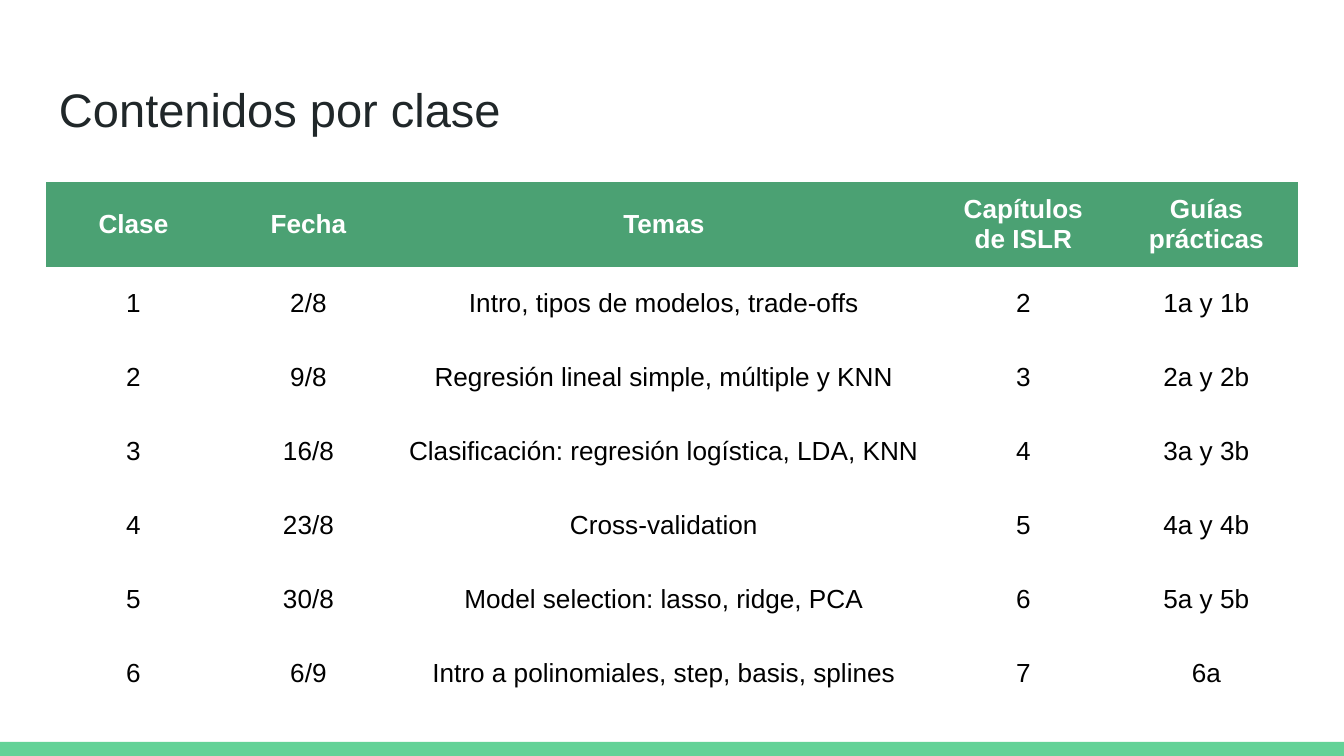
from dataclasses import dataclass

from pptx import Presentation
from pptx.dml.color import RGBColor
from pptx.enum.shapes import MSO_SHAPE
from pptx.enum.text import MSO_ANCHOR, MSO_AUTO_SIZE, PP_ALIGN
from pptx.util import Emu, Pt

PAGE_WIDTH, PAGE_HEIGHT = 1344, 756
EMU_PER_PX = 9144000 / PAGE_WIDTH
NO_STYLE_NO_GRID = "{2D5ABB26-0587-4C30-8999-92F81FD0307C}"

HEADINGS = ["Clase", "Fecha", "Temas", "Capítulos de ISLR", "Guías prácticas"]
CLASSES = [
    ["1", "2/8", "Intro, tipos de modelos, trade-offs", "2", "1a y 1b"],
    ["2", "9/8", "Regresión lineal simple, múltiple y KNN", "3", "2a y 2b"],
    ["3", "16/8", "Clasificación: regresión logística, LDA, KNN", "4", "3a y 3b"],
    ["4", "23/8", "Cross-validation", "5", "4a y 4b"],
    ["5", "30/8", "Model selection: lasso, ridge, PCA", "6", "5a y 5b"],
    ["6", "6/9", "Intro a polinomiales, step, basis, splines", "7", "6a"],
]


def px(length):
    """Turn pixels into EMU."""
    return Emu(round(length * EMU_PER_PX))


@dataclass(frozen=True)
class Theme:
    """Colours, type sizes and inset of the deck."""

    font: str = "Arial"
    background: str = "FFFFFF"
    bar: str = "63D297"
    header: str = "4BA173"
    header_text: str = "FFFFFF"
    title_text: str = "202729"
    body_text: str = "000000"
    title_size: float = 25.2
    table_size: float = 14
    inset: int = 13


class PageBuilder:
    """Draw elements on the current page in one style."""

    def __init__(self, page, theme):
        """Keep the page and theme, and paint the background."""
        self.page = page
        self.theme = theme
        self.paint(page.background.fill, theme.background)

    def paint(self, fill, colour):
        """Make a fill solid."""
        fill.solid()
        fill.fore_color.rgb = RGBColor.from_string(colour)

    def inset(self, box):
        """Set equal margins and centre the text vertically."""
        margin = px(self.theme.inset)
        box.margin_left = box.margin_right = margin
        box.margin_top = box.margin_bottom = margin
        box.vertical_anchor = MSO_ANCHOR.MIDDLE

    def add_text(self, para, text, size, colour, align, bold=False):
        """Add one formatted run to a paragraph."""
        para.alignment = align
        span = para.add_run()
        span.text = text
        span.font.name = self.theme.font
        span.font.size = Pt(size)
        span.font.bold = bold
        span.font.color.rgb = RGBColor.from_string(colour)

    def bar(self, left, top, width, height):
        """Draw a plain coloured bar."""
        bar = self.page.shapes.add_shape(
            MSO_SHAPE.RECTANGLE, px(left), px(top), px(width), px(height))
        bar.shadow.inherit = False
        self.paint(bar.fill, self.theme.bar)
        bar.line.fill.background()

    def title(self, text, left, top, width, height):
        """Place and fill the title placeholder."""
        title = self.page.shapes.title
        title.left, title.top = px(left), px(top)
        title.width, title.height = px(width), px(height)
        box = title.text_frame
        box.auto_size = MSO_AUTO_SIZE.NONE
        box.word_wrap = True
        self.inset(box)
        self.add_text(box.paragraphs[0], text, self.theme.title_size,
                      self.theme.title_text, PP_ALIGN.LEFT)

    def table(self, rows, left, top, widths, row_height):
        """Draw a table whose first row is a filled header."""
        frame = self.page.shapes.add_table(
            len(rows), len(widths), px(left), px(top),
            px(sum(widths)), px(row_height * len(rows)))
        table = frame.table
        table.horz_banding = False
        table._tbl.tblPr[0].text = NO_STYLE_NO_GRID
        for column, width in zip(table.columns, widths):
            column.width = px(width)
        for index, texts in enumerate(rows):
            table.rows[index].height = px(row_height)
            for cell, text in zip(table.rows[index].cells, texts):
                self.cell(cell, text, header=index == 0)

    def cell(self, cell, text, header):
        """Fill one table cell."""
        self.inset(cell)
        if header:
            self.paint(cell.fill, self.theme.header)
        else:
            cell.fill.background()
        colour = self.theme.header_text if header else self.theme.body_text
        self.add_text(cell.text_frame.paragraphs[0], text,
                      self.theme.table_size, colour, PP_ALIGN.CENTER,
                      bold=header)


def main():
    """Build and save the deck."""
    deck = Presentation()
    deck.slide_width, deck.slide_height = px(PAGE_WIDTH), px(PAGE_HEIGHT)
    page = deck.slides.add_slide(deck.slide_layouts.get_by_name("Title Only"))
    builder = PageBuilder(page, Theme())
    builder.bar(0, 742, PAGE_WIDTH, 14)
    builder.title("Contenidos por clase", 46, 66, 1252, 85)
    builder.table([HEADINGS] + CLASSES, 46, 182,
                  [175, 175, 536, 183, 183], 74)
    deck.save("out.pptx")


if __name__ == "__main__":
    main()
